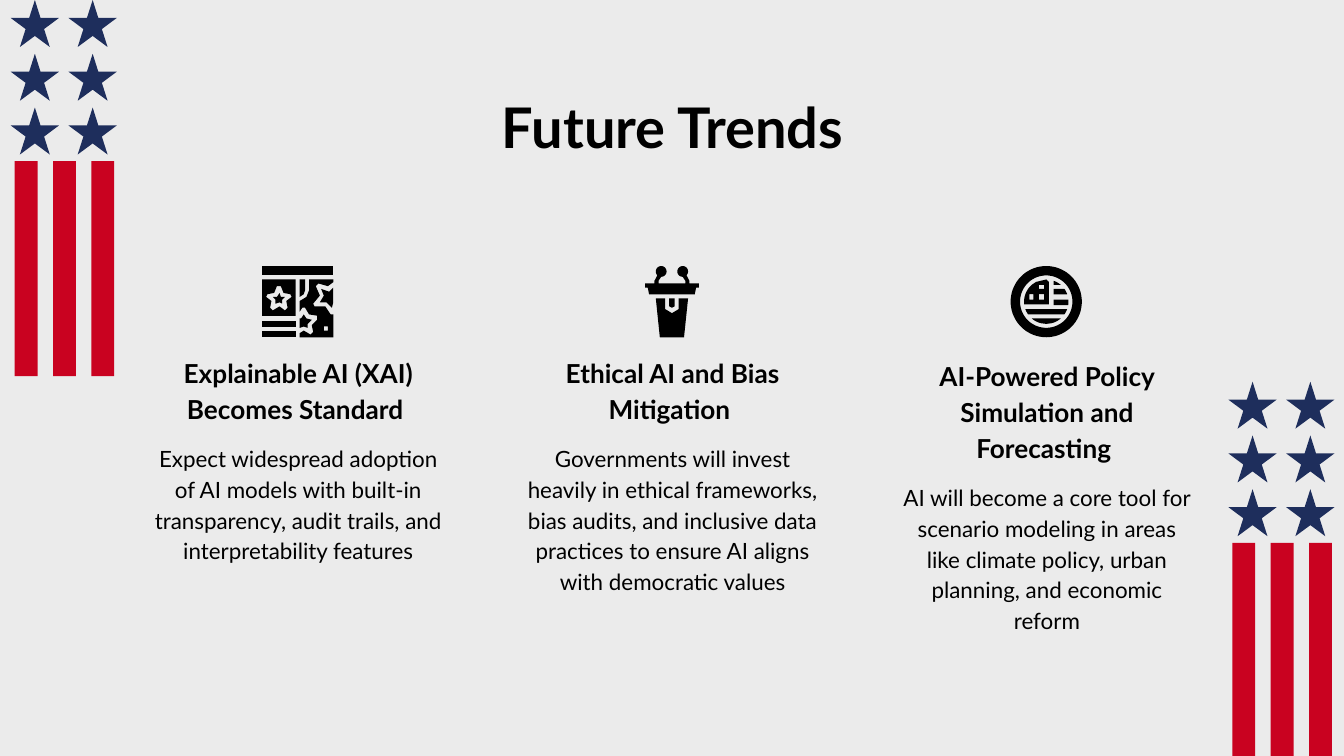
from dataclasses import dataclass
from math import cos, inf, radians, sin, sqrt

from pptx import Presentation
from pptx.dml.color import RGBColor
from pptx.enum.shapes import MSO_SHAPE
from pptx.enum.text import MSO_ANCHOR, MSO_AUTO_SIZE, PP_ALIGN
from pptx.util import Inches, Pt

Point = tuple[float, float]
Contour = list[Point]

NAVY, RED, BLACK, PAPER = "1E2E5C", "C90220", "000000", "EBEBEB"
FONT = "Lato"

# Widescreen slide, 16 to 9
SLIDE_WIDTH = Inches(10)
SLIDE_HEIGHT = SLIDE_WIDTH * 9 // 16

# Column grid, in inches
FIRST_COLUMN, LAST_COLUMN, COLUMN_WIDTH = 1.03, 6.6, 2.38
COLUMN_PITCH = (LAST_COLUMN - FIRST_COLUMN) / 2
ICON_INDENT, ICON_TOP = 0.92, 1.98
ICON_UNIT = Inches(0.01)  # icons are outlined on a grid 53 units wide and high
ICON_CENTRE = 26.5


@dataclass
class Trend:
    heading: str
    detail: str
    icon: list[list[Contour]]
    drop: float = 0  # extra room for a three-line heading


def rgb(colour: str) -> RGBColor:
    return RGBColor.from_string(colour)


def paint(shape, colour: str) -> None:
    shape.shadow.inherit = False
    shape.fill.solid()
    shape.fill.fore_color.rgb = rgb(colour)
    shape.line.fill.background()


def write(shape, text: str, *, size: float, bold: bool = False,
          anchor=MSO_ANCHOR.TOP, spacing: float = 1.0) -> None:
    frame = shape.text_frame
    frame.text = text
    frame.word_wrap = True
    frame.auto_size = MSO_AUTO_SIZE.NONE
    frame.vertical_anchor = anchor
    frame.margin_left = frame.margin_right = Inches(0.1)
    frame.margin_top = frame.margin_bottom = Inches(0.1)
    paragraph = frame.paragraphs[0]
    paragraph.alignment = PP_ALIGN.CENTER
    paragraph.line_spacing = spacing
    font = paragraph.runs[0].font
    font.name, font.size, font.bold = FONT, Pt(size), bold
    font.color.rgb = rgb(BLACK)


def add_preset(slide, kind, left: float, top: float, width: float,
               height: float, colour: str) -> None:
    paint(slide.shapes.add_shape(kind, Inches(left), Inches(top),
                                 Inches(width), Inches(height)), colour)


def draw_flag(slide, left: float, top: float) -> None:
    """Three hanging stripes below two columns of three stars."""
    for stripe in range(3):
        add_preset(slide, MSO_SHAPE.RECTANGLE, left + 0.03 + stripe * 0.57 / 2,
                   top + 1.2, 0.17, 1.6, RED)
    for row in range(3):
        for column in range(2):
            add_preset(slide, MSO_SHAPE.STAR_5_POINT, left + column * 0.43,
                       top + row * 0.4, 0.36, 0.35, NAVY)


def draw_icon(slide, left: float, parts: list[list[Contour]]) -> None:
    def place(point: Point) -> Point:
        return (Inches(left) + point[0] * ICON_UNIT,
                Inches(ICON_TOP) + point[1] * ICON_UNIT)

    for contours in parts:
        builder = slide.shapes.build_freeform(*place(contours[0][0]))
        for number, contour in enumerate(contours):
            if number:
                builder.move_to(*place(contour[0]))
            builder.add_line_segments([place(p) for p in contour[1:]], close=True)
        paint(builder.convert_to_shape(), BLACK)


# Outline helpers
def box(left: float, top: float, right: float, bottom: float) -> Contour:
    return [(left, top), (right, top), (right, bottom), (left, bottom)]


def arc(x: float, y: float, radius: float, start: float, end: float,
        steps: int = 36) -> Contour:
    angles = [radians(start + (end - start) * i / steps) for i in range(steps + 1)]
    return [(x + radius * cos(a), y + radius * sin(a)) for a in angles]


def mirror(half: Contour) -> Contour:
    """Complete a right half, given as offsets from the icon's centre line."""
    right = [(ICON_CENTRE + x, y) for x, y in half]
    left = [(ICON_CENTRE - x, y) for x, y in reversed(half)]
    return right + left


def disc_band(top: float, bottom: float, left: float = -inf,
              right: float = inf) -> Contour:
    """A horizontal slice of the seal's inner disc, cut at left and right."""
    heights = [top + (bottom - top) * i / 10 for i in range(11)]
    halves = [sqrt(max(16.5 ** 2 - (y - ICON_CENTRE) ** 2, 0)) for y in heights]
    edges = list(zip(heights, halves))
    return ([(min(ICON_CENTRE + h, right), y) for y, h in edges]
            + [(max(ICON_CENTRE - h, left), y) for y, h in reversed(edges)])


# Icons: each part is a list of contours, where inner ones are holes
CURTAIN = [
    [box(0, 0, 53, 7)],
    [box(0, 10, 25, 37),
     [(14, 15), (16, 20), (21, 21), (22, 23), (18, 26), (19, 31), (17, 33), (13, 30),
      (8, 33), (6, 31), (7, 26), (3, 23), (4, 21), (9, 20), (11, 15)]],
    [[(13, 20), (11, 23), (8, 23), (10, 25), (10, 28), (13, 27), (15, 28), (15, 25),
      (17, 23), (14, 23)]],
    [box(0, 41, 25, 45)],
    [box(0, 48, 25, 53)],
    [[(28, 10), (28, 23), (31, 21), (32, 18), (32, 10)]],
    [[(53, 16), (50, 19), (44, 17), (46, 22), (43, 27), (48, 27), (52, 31), (53, 27)]],
    [[(31, 36), (29, 39), (28, 39), (28, 46), (31, 45), (34, 46), (34, 43), (37, 40),
      (33, 39)]],
    [[(35, 10), (35, 18), (33, 23), (28, 26), (28, 34), (30, 31), (32, 31), (35, 36),
      (41, 37), (41, 40), (37, 44), (38, 49), (36, 51), (31, 48), (28, 50), (28, 53),
      (53, 53), (53, 36), (51, 36), (47, 30), (39, 30), (38, 28), (43, 22), (40, 15),
      (42, 13), (49, 15), (53, 12), (53, 10)],
     box(46, 45, 49, 48)],
]
PODIUM = [
    [mirror([(0, 35), (5, 32), (5, 24), (12, 24), (9, 53)])],
    [mirror([(0, 31), (2, 30), (2, 24)])],
    [mirror([(17, 21), (18, 16), (20, 16), (20, 13), (13, 13), (13, 11),
             *arc(8, 4, 4, 45, -270), (10, 11), (10, 13)])],
]
SEAL = [
    [arc(ICON_CENTRE, ICON_CENTRE, radius, 0, 360, 72) for radius in (26.5, 19.5)],
    [disc_band(10, 28.5, right=28.5),
     box(21, 14, 25, 17), box(14, 21, 17, 25), box(21, 21, 25, 25)],
    *[[disc_band(top, bottom, left=32)] for top, bottom in ((11, 14), (17, 21), (25, 29))],
    *[[disc_band(top, bottom)] for top, bottom in ((32, 36), (39, 43))],
]

TRENDS = [
    Trend("Explainable AI (XAI) Becomes Standard ",
          "Expect widespread adoption of AI models with built-in transparency, "
          "audit trails, and interpretability features", CURTAIN),
    Trend("Ethical AI and Bias Mitigation ",
          "Governments will invest heavily in ethical frameworks, bias audits, and "
          "inclusive data practices to ensure AI aligns with democratic values", PODIUM),
    Trend("AI-Powered Policy Simulation and Forecasting ",
          "AI will become a core tool for scenario modeling in areas like climate "
          "policy, urban planning, and economic reform", SEAL, drop=0.29),
]


def draw_trend(slide, column: int, trend: Trend) -> None:
    left = FIRST_COLUMN + column * COLUMN_PITCH
    detail = slide.shapes.add_textbox(Inches(left), Inches(3.18 + trend.drop),
                                      Inches(COLUMN_WIDTH), Inches(0.95))
    write(detail, trend.detail, size=12, spacing=1.15)
    heading = slide.shapes.add_textbox(Inches(left), Inches(2.68 + trend.drop),
                                       Inches(COLUMN_WIDTH), Inches(0.58))
    write(heading, trend.heading, size=14, bold=True,
          anchor=MSO_ANCHOR.BOTTOM, spacing=1.15)
    draw_icon(slide, left + ICON_INDENT, trend.icon)


def main() -> None:
    deck = Presentation()
    deck.slide_width, deck.slide_height = SLIDE_WIDTH, SLIDE_HEIGHT
    slide = deck.slides.add_slide(deck.slide_layouts[5])
    slide.background.fill.solid()
    slide.background.fill.fore_color.rgb = rgb(PAPER)

    # Flags in opposite corners
    draw_flag(slide, 0.08, 0)
    draw_flag(slide, 9.14, 2.84)

    # Title
    title = slide.shapes.title
    title.left, title.top = Inches(0.79), Inches(0.59)
    title.width, title.height = Inches(8.43), Inches(0.63)
    write(title, "Future Trends", size=30, bold=True)

    # Trend columns
    for column, trend in enumerate(TRENDS):
        draw_trend(slide, column, trend)

    deck.save("out.pptx")


if __name__ == "__main__":
    main()
